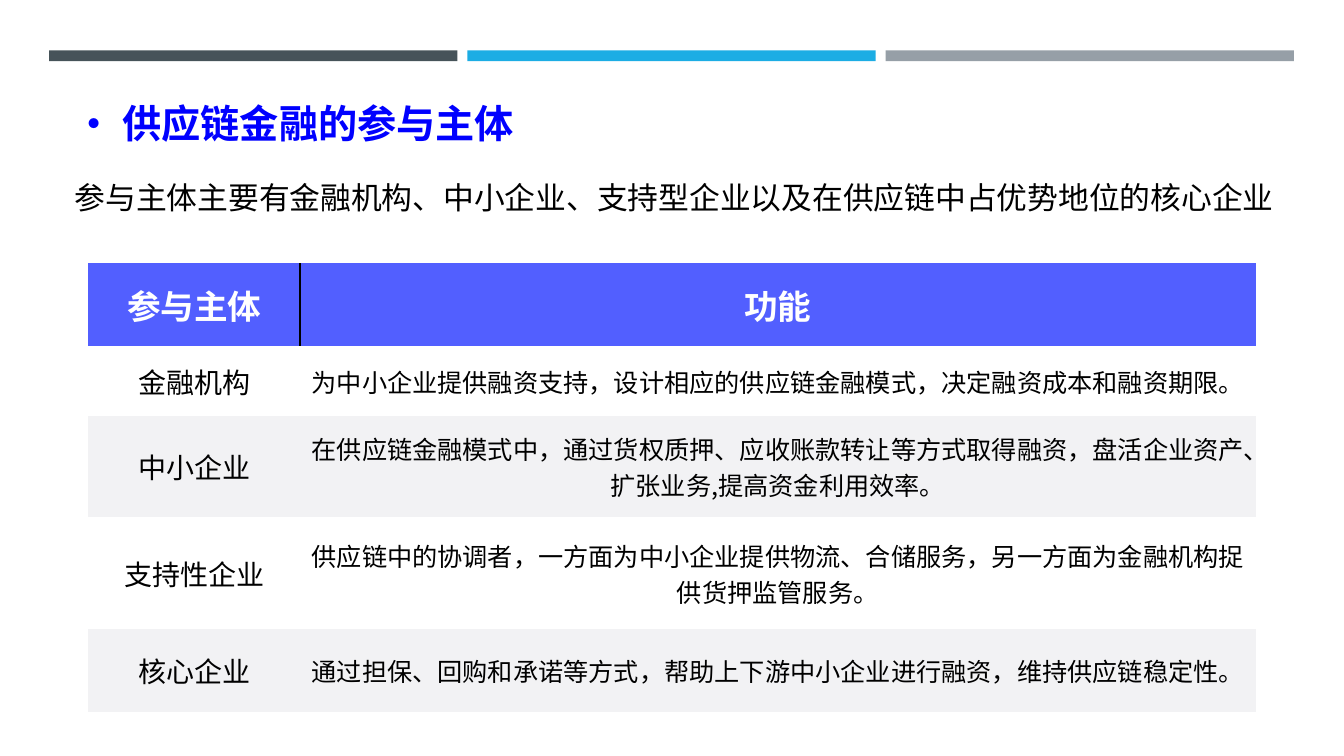
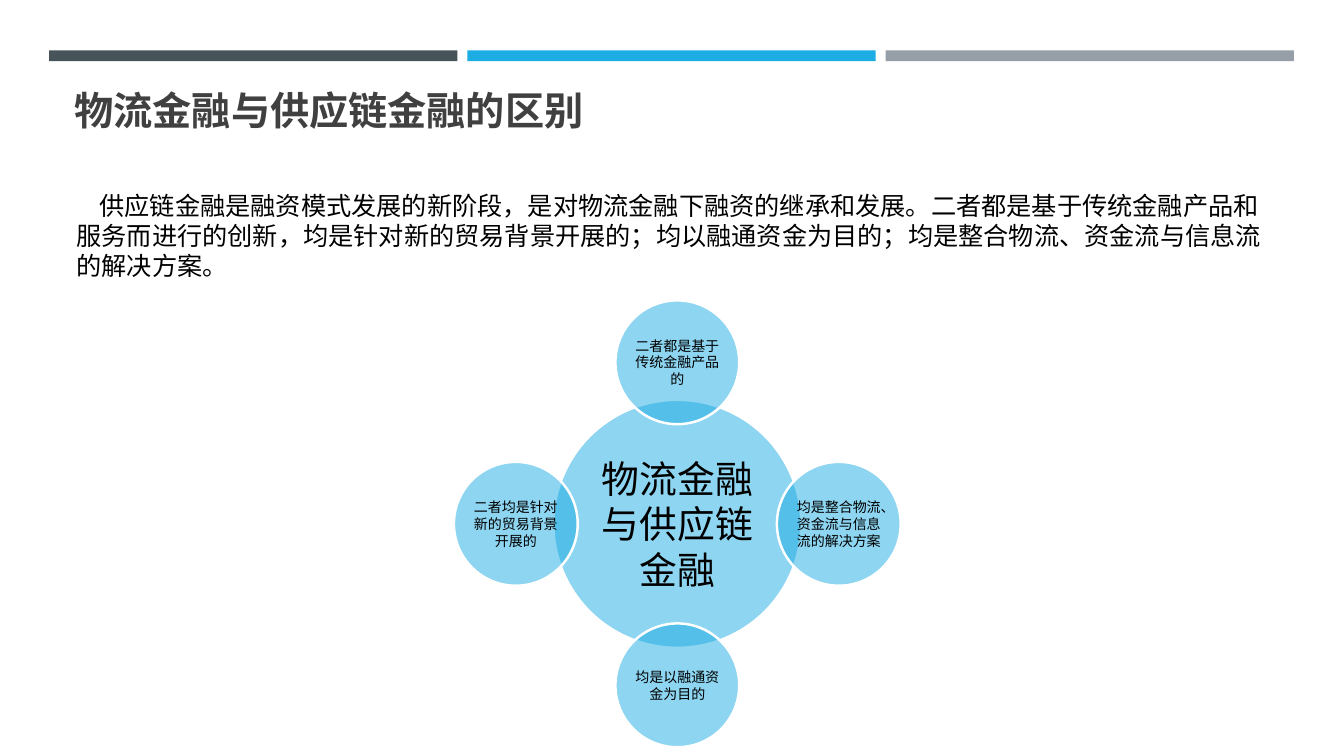
from dataclasses import dataclass

from lxml import etree
from pptx import Presentation
from pptx import util as u
from pptx.dml.color import RGBColor
from pptx.enum import shapes, text
from pptx.oxml import ns

Cm, Pt = u.Cm, u.Pt


@dataclass(frozen=True)
class Theme:
    # Colours
    slate: str = "465359"
    sky: str = "1CADE4"
    grey: str = "969FA7"
    blue: str = "0000FF"
    dark: str = "404040"
    black: str = "000000"
    white: str = "FFFFFF"
    head: str = "525FFF"
    band: str = "F2F2F4"
    # Fonts
    sans: str = "Noto Sans CJK SC"
    body: str = "Karla"
    # Type sizes
    title: int = 28
    lead: int = 22
    para: int = 18
    top: int = 24
    name: int = 20
    hub: int = 27
    small: int = 10


T = Theme()
PLAIN = "{2D5ABB26-0587-4C30-8999-92F81FD0307C}"  # table style without grid

ROLES = [
    ("参与主体", "功能"),
    ("金融机构", "为中小企业提供融资支持，设计相应的供应链金融模式，"
             "决定融资成本和融资期限。"),
    ("中小企业", "在供应链金融模式中，通过货权质押、应收账款转让等方式"
             "取得融资，盘活企业资产、扩张业务,提高资金利用效率。"),
    ("支持性企业", "供应链中的协调者，一方面为中小企业提供物流、合储服务，"
              "另一方面为金融机构捉供货押监管服务。"),
    ("核心企业", "通过担保、回购和承诺等方式，帮助上下游中小企业进行融资，"
             "维持供应链稳定性。"),
]

# Ring texts with their direction from the hub
RING = [
    ("二者都是基于传统金融产品的", 0, -1),
    ("均是整合物流、资金流与信息流的解决方案", 1, 0),
    ("均是以融通资金为目的", 0, 1),
    ("二者均是针对新的贸易背景开展的", -1, 0),
]


def rgb(tone):
    return RGBColor.from_string(tone)


def add_run(para, words, size, tone, font, bold=False):
    run = para.add_run()
    run.text = words
    run.font.size = Pt(size)
    run.font.bold = bold
    run.font.color.rgb = rgb(tone)
    run.font.name = font
    east = etree.SubElement(run.font._element, ns.qn("a:ea"))
    east.set("typeface", font)


def add_text(slide, box, words, size, tone, font, bold=False, low=False):
    frame = slide.shapes.add_textbox(*map(Cm, box)).text_frame
    frame.word_wrap = True
    if low:
        frame.vertical_anchor = text.MSO_ANCHOR.BOTTOM
    add_run(frame.paragraphs[0], words, size, tone, font, bold)
    return frame.paragraphs[0]


def add_shape(slide, kind, box, tone):
    shape = slide.shapes.add_shape(kind, *map(Cm, box))
    shape.shadow.inherit = False
    shape.fill.solid()
    shape.fill.fore_color.rgb = rgb(tone)
    shape.line.fill.background()
    return shape


def add_disc(slide, x, y, size, words, type_size, inset):
    box = (x - size / 2, y - size / 2, size, size)
    disc = add_shape(slide, shapes.MSO_SHAPE.OVAL, box, T.sky)
    tone = disc._element.xpath("./p:spPr/a:solidFill/a:srgbClr")[0]
    etree.SubElement(tone, ns.qn("a:alpha")).set("val", "50000")
    disc.line.color.rgb = rgb(T.white)
    disc.line.width = Pt(1.75)
    frame = disc.text_frame
    frame.word_wrap = True
    frame.vertical_anchor = text.MSO_ANCHOR.MIDDLE
    frame.margin_left = frame.margin_right = Cm(inset)
    frame.margin_top = frame.margin_bottom = Cm(inset)
    para = frame.paragraphs[0]
    para.alignment = text.PP_ALIGN.CENTER
    add_run(para, words, type_size, T.black, T.body)


def add_edge(cell, side):
    line = etree.Element(ns.qn(f"a:{side}"), w=str(Pt(1)))
    fill = etree.SubElement(line, ns.qn("a:solidFill"))
    etree.SubElement(fill, ns.qn("a:srgbClr")).set("val", T.black)
    cell._tc.get_or_add_tcPr().insert(0, line)


def add_grid(slide, x, y, cols, rows, data):
    frame = slide.shapes.add_table(len(rows), len(cols), Cm(x), Cm(y),
                                   Cm(sum(cols)), Cm(sum(rows)))
    grid = frame.table
    grid.first_row = grid.horz_banding = False
    grid._tbl.tblPr.find(ns.qn("a:tableStyleId")).text = PLAIN
    for col, wide in zip(grid.columns, cols):
        col.width = Cm(wide)
    for r, (high, line) in enumerate(zip(rows, data)):
        grid.rows[r].height = Cm(high)
        head = r == 0
        fill = T.head if head else (T.white if r % 2 else T.band)
        for c, words in enumerate(line):
            cell = grid.cell(r, c)
            cell.fill.solid()
            cell.fill.fore_color.rgb = rgb(fill)
            cell.vertical_anchor = text.MSO_ANCHOR.MIDDLE
            para = cell.text_frame.paragraphs[0]
            para.alignment = text.PP_ALIGN.CENTER
            size = T.top if head else (T.para if c else T.name)
            add_run(para, words, size, T.white if head else T.black,
                    T.sans, head)
    add_edge(grid.cell(0, 0), "lnR")
    add_edge(grid.cell(0, 1), "lnL")


def add_page(deck, title, tone, base):
    """New slide with the three top bars and a title ending at base."""
    slide = deck.slides.add_slide(deck.slide_layouts[6])
    for i, fill in enumerate((T.slate, T.sky, T.grey)):
        add_shape(slide, shapes.MSO_SHAPE.RECTANGLE,
                  (1.24 + i * 10.54, 1.27, 10.29, 0.27), fill)
    add_text(slide, (1.63, base - 2.2, 30.63, 2.2), title, T.title, tone,
             T.sans, bold=True, low=True)
    return slide


def add_roles(deck):
    slide = add_page(deck, "· 供应链金融的参与主体", T.blue, 3.81)
    add_text(slide, (1.63, 4.37, 31.04, 1.19),
             "参与主体主要有金融机构、中小企业、支持型企业以及"
             "在供应链中占优势地位的核心企业", T.lead, T.black, T.body)
    add_grid(slide, 2.23, 6.63, (5.33, 24.08),
             (2.1, 1.74, 2.57, 2.81, 2.1), ROLES)


def add_links(deck):
    slide = add_page(deck, "物流金融与供应链金融的区别", T.dark, 3.48)
    para = add_text(
        slide, (1.68, 4.67, 30.38, 2.57),
        "供应链金融是融资模式发展的新阶段，是对物流金融下融资的继承和发展。"
        "二者都是基于传统金融产品和服务而进行的创新，均是针对新的贸易背景"
        "开展的；均以融通资金为目的；均是整合物流、资金流与信息流的解决方案。",
        T.para, T.black, T.body)
    para._p.get_or_add_pPr().set("indent", str(Cm(0.58)))

    # Hub with four discs around it
    x, y, reach = 17.07, 13.2, 4.07
    add_disc(slide, x, y, 6.25, "物流金融与供应链金融", T.hub, 0.1)
    for words, dx, dy in RING:
        add_disc(slide, x + dx * reach, y + dy * reach, 3.12, words,
                 T.small, 0.03)


def main():
    deck = Presentation()
    deck.slide_width, deck.slide_height = Cm(33.87), Cm(19.05)
    add_roles(deck)
    add_links(deck)
    deck.save("out.pptx")


if __name__ == "__main__":
    main()
